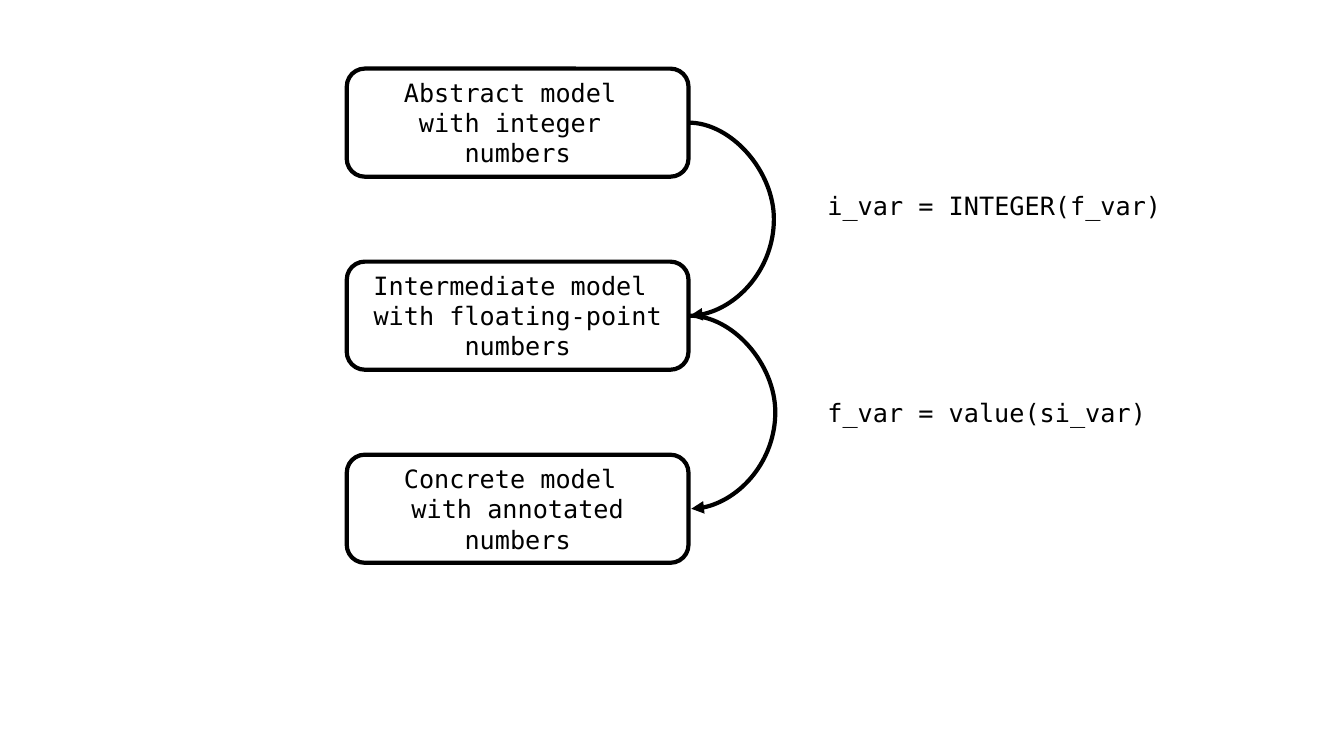
import pptx
import pptx.util
import pptx.dml.color
import pptx.enum.shapes
import pptx.enum.text
import pptx.oxml.ns
from lxml import etree

Pt = pptx.util.Pt
BLACK = pptx.dml.color.RGBColor(0, 0, 0)
WHITE = pptx.dml.color.RGBColor(255, 255, 255)
FONT = "DejaVu Sans Mono"

BOX_LEFT, BOX_TOP = 247.7, 49
BOX_WIDTH, BOX_HEIGHT = 244.1, 77.2
BOX_STEP = 137.9
LABEL_LEFT, LABEL_HEIGHT = 583.9, 29.1
ARROW_WIDTH = 1
BULGE = 61.46  # how far an arrow swings out, in arrow widths

MODELS = [
    ["Abstract model ", "with integer ", "numbers"],
    ["Intermediate model ", "with floating-point numbers"],
    ["Concrete model ", "with annotated numbers"],
]
LABELS = [
    ("i_var = INTEGER(f_var)", 132.5, 253.4),
    ("f_var = value(si_var)", 280.1, 242.6),
]


def write_lines(frame, lines, alignment):
    frame.text = "\n".join(lines)
    for para in frame.paragraphs:
        para.alignment = alignment
        para.font.name = FONT
        para.font.size = Pt(18)
        para.font.color.rgb = BLACK


def add_child(parent, tag, **attributes):
    return etree.SubElement(parent, pptx.oxml.ns.qn(tag), attributes)


deck = pptx.Presentation()
deck.slide_width, deck.slide_height = Pt(960), Pt(540)
page = deck.slides.add_slide(deck.slide_layouts[6])

# Model boxes, from abstract to concrete
for index, lines in enumerate(MODELS):
    box = page.shapes.add_shape(
        pptx.enum.shapes.MSO_SHAPE.ROUNDED_RECTANGLE,
        Pt(BOX_LEFT), Pt(BOX_TOP + index * BOX_STEP), Pt(BOX_WIDTH), Pt(BOX_HEIGHT))
    box.shadow.inherit = False
    box.fill.solid()
    box.fill.fore_color.rgb = WHITE
    box.line.color.rgb = BLACK
    box.line.width = Pt(3)
    box.text_frame.word_wrap = True
    box.text_frame.vertical_anchor = pptx.enum.text.MSO_ANCHOR.MIDDLE
    write_lines(box.text_frame, lines, pptx.enum.text.PP_ALIGN.CENTER)

# Curved arrows from each model to the next
for index in range(len(MODELS) - 1):
    start_x = BOX_LEFT + BOX_WIDTH + index * ARROW_WIDTH
    start_y = BOX_TOP + BOX_HEIGHT / 2 + index * BOX_STEP
    arrow = page.shapes.add_connector(
        pptx.enum.shapes.MSO_CONNECTOR.CURVE,
        Pt(start_x), Pt(start_y), Pt(start_x + ARROW_WIDTH), Pt(start_y + BOX_STEP))
    arrow.line.color.rgb = BLACK
    arrow.line.width = Pt(3)
    add_child(arrow.line._get_or_add_ln(), "a:tailEnd", type="triangle")
    properties = arrow._element.spPr
    add_child(properties, "a:effectLst")
    adjustments = properties.find(".//" + pptx.oxml.ns.qn("a:avLst"))
    add_child(adjustments, "a:gd", name="adj1", fmla=f"val {round(BULGE * 100000)}")

# Refinement formulas beside the arrows
for formula, top, width in LABELS:
    label = page.shapes.add_textbox(Pt(LABEL_LEFT), Pt(top), Pt(width), Pt(LABEL_HEIGHT))
    label.text_frame.word_wrap = False
    label.text_frame.auto_size = pptx.enum.text.MSO_AUTO_SIZE.SHAPE_TO_FIT_TEXT
    write_lines(label.text_frame, [formula], pptx.enum.text.PP_ALIGN.LEFT)

deck.save("out.pptx")
